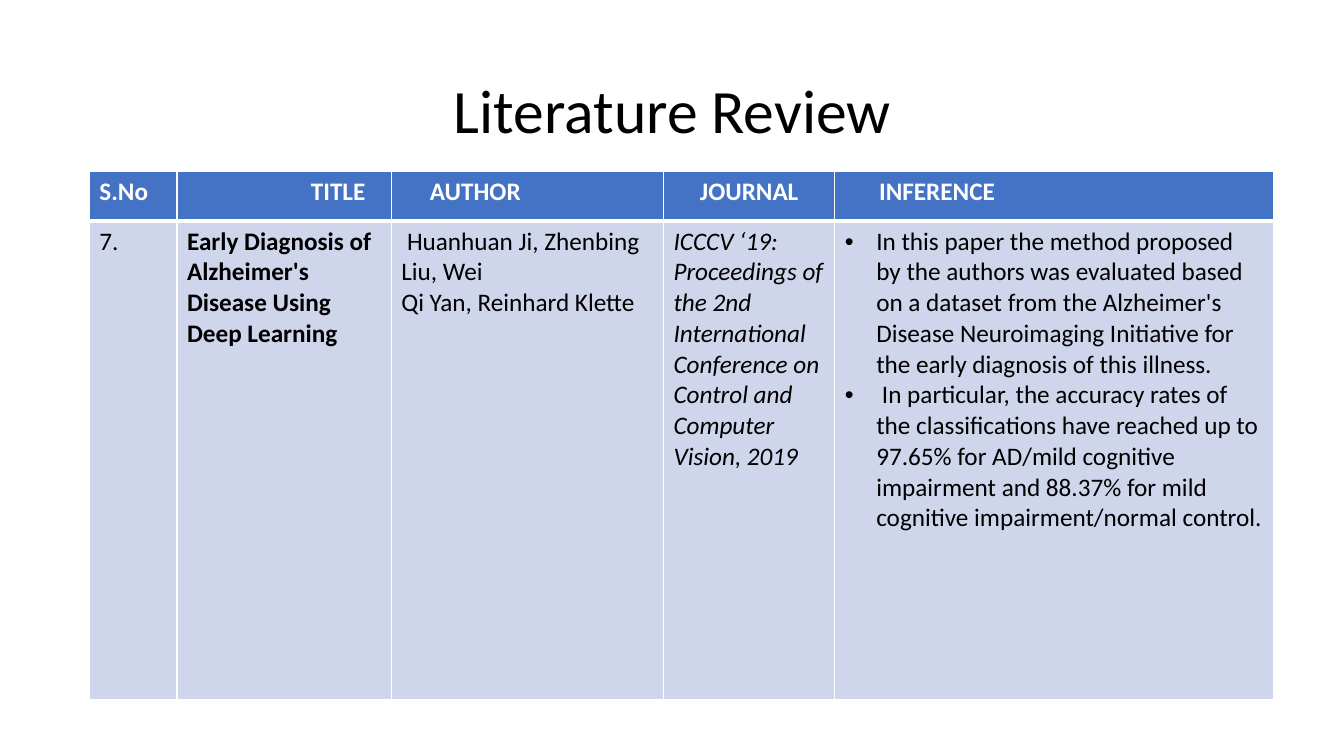
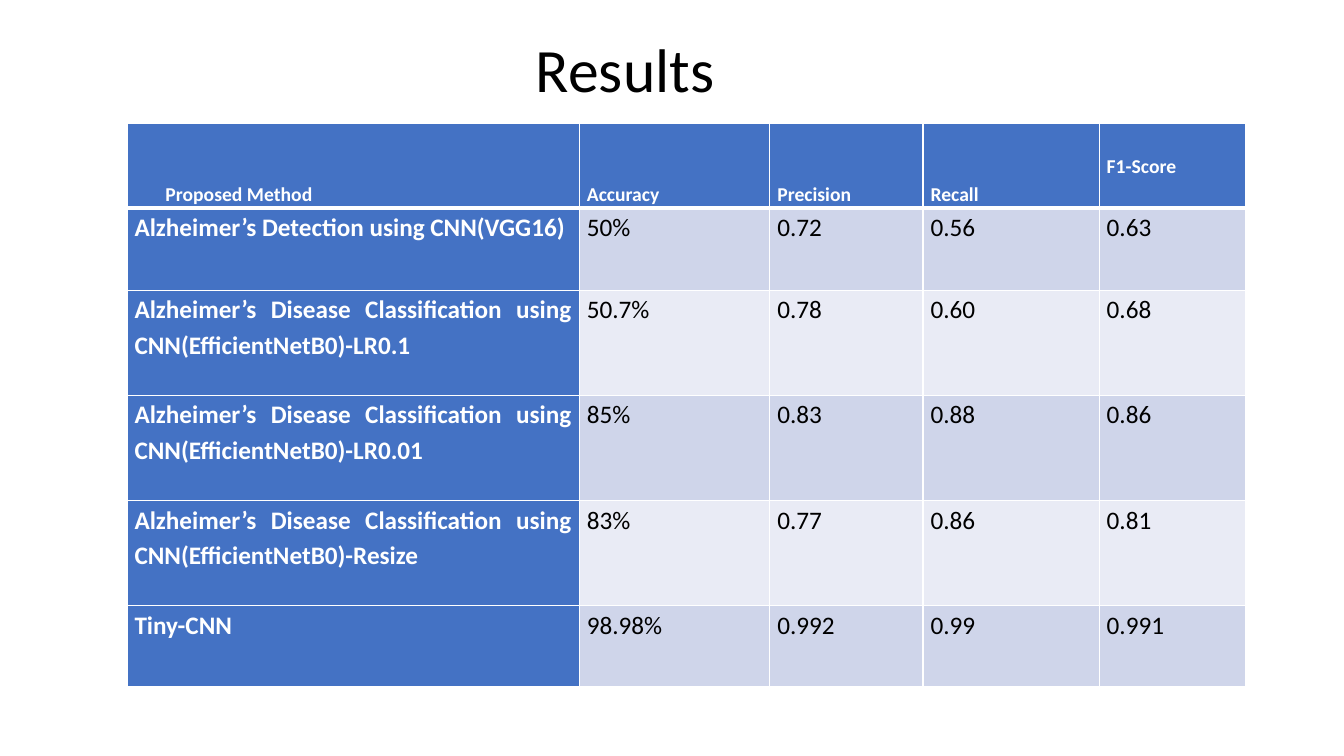
from dataclasses import dataclass

from lxml import etree
from pptx import Presentation
from pptx.dml.color import RGBColor
from pptx.enum.text import MSO_ANCHOR, PP_ALIGN
from pptx.oxml.ns import qn
from pptx.util import Cm, Pt

CENTER, JUSTIFY = PP_ALIGN.CENTER, PP_ALIGN.JUSTIFY
MIDDLE, BOTTOM = MSO_ANCHOR.MIDDLE, MSO_ANCHOR.BOTTOM
TITLE_ONLY = 5


@dataclass(frozen=True)
class Theme:
    """Hold the colours and type sizes of the deck."""

    font: str = "Calibri"
    ink: str = "000000"
    white: str = "FFFFFF"
    blue: str = "4472C4"
    bands: tuple = ("CFD5EA", "E9EBF5")
    title: int = 44
    body: int = 18
    small: int = 14
    thin: int = 1
    thick: int = 3


THEME = Theme()


def add_run(para, text, size, color, bold=False, italic=False):
    """Add one formatted run to a paragraph."""
    run = para.add_run()
    run.text = text
    font = run.font
    font.name, font.size = THEME.font, Pt(size)
    font.bold, font.italic = bold, italic
    font.color.rgb = RGBColor.from_string(color)


def add_slide(deck, title, left, top):
    """Add a title-only slide and place its centred title."""
    slide = deck.slides.add_slide(deck.slide_layouts[TITLE_ONLY])
    box = slide.shapes.title
    box.left, box.top, box.width, box.height = Cm(left), Cm(top), Cm(29.21), Cm(3.68)
    frame = box.text_frame
    frame.word_wrap, frame.vertical_anchor = True, MIDDLE
    para = frame.paragraphs[0]
    para.alignment, para.line_spacing = CENTER, 0.9
    add_run(para, title, THEME.title, THEME.ink)
    return slide


def set_edges(cell, row):
    """Draw white cell borders, heavy under the header row."""
    widths = {
        "L": THEME.thin,
        "R": THEME.thin,
        "T": THEME.thick if row == 1 else THEME.thin,
        "B": THEME.thick if row == 0 else THEME.thin,
    }
    props = cell._tc.get_or_add_tcPr()
    for side, width in widths.items():
        line = etree.SubElement(props, qn(f"a:ln{side}"), w=str(Pt(width)))
        fill = etree.SubElement(line, qn("a:solidFill"))
        etree.SubElement(fill, qn("a:srgbClr"), val=THEME.white)


def add_grid(slide, left, top, cols, rows, side=False):
    """Add a banded table with a blue header and optional blue first column."""
    frame = slide.shapes.add_table(
        len(rows), len(cols), Cm(left), Cm(top), Cm(sum(cols)), Cm(sum(rows))
    )
    table = frame.table
    for col, width in zip(table.columns, cols):
        col.width = Cm(width)
    for index, (row, height) in enumerate(zip(table.rows, rows)):
        row.height = Cm(height)
        for place, cell in enumerate(row.cells):
            head = index == 0 or (side and place == 0)
            color = THEME.blue if head else THEME.bands[(index - 1) % 2]
            set_edges(cell, index)
            cell.fill.solid()
            cell.fill.fore_color.rgb = RGBColor.from_string(color)
    return table


def write(cell, text, size=THEME.body, color=THEME.ink, align=None, space=None,
          indent=0, **style):
    """Write one paragraph into a cell, with line breaks at newlines."""
    para = cell.text_frame.paragraphs[0]
    para.alignment, para.line_spacing = align, space
    para._p.get_or_add_pPr().set("marL", str(Cm(indent)))
    for index, line in enumerate(text.split("\n")):
        if index:
            para.add_line_break()
        add_run(para, line, size, color, **style)


def add_points(cell, points):
    """Write a bulleted list into a cell."""
    frame = cell.text_frame
    for index, point in enumerate(points):
        para = frame.add_paragraph() if index else frame.paragraphs[0]
        props = para._p.get_or_add_pPr()
        props.set("marL", str(Cm(0.79)))
        props.set("indent", str(-Cm(0.79)))
        etree.SubElement(props, qn("a:buFont"), typeface="Arial")
        etree.SubElement(props, qn("a:buChar"), char="•")
        add_run(para, point, THEME.body, THEME.ink)


def add_review(deck):
    """Build the literature review slide."""
    slide = add_slide(deck, "Literature Review", 2.34, 1.02)
    table = add_grid(slide, 2.25, 4.33, (2.21, 5.4, 6.86, 4.32, 11.05), (1.24, 12.07))
    heads = (
        ("S.No", 0, None),
        ("TITLE", 3.12, None),
        ("AUTHOR", 0.72, None),
        ("JOURNAL", 0, CENTER),
        ("INFERENCE", 0.86, None),
    )
    for col, (text, indent, align) in enumerate(heads):
        write(table.cell(0, col), text, color=THEME.white, align=align,
              indent=indent, bold=True)
    entry = (
        ("7.", {}),
        ("Early Diagnosis of Alzheimer's Disease Using Deep Learning", {"bold": True}),
        (" Huanhuan Ji, Zhenbing Liu, Wei\nQi Yan, Reinhard Klette", {}),
        ("ICCCV ‘19: Proceedings of the 2nd International Conference on "
         "Control and Computer Vision, 2019", {"italic": True}),
    )
    for col, (text, style) in enumerate(entry):
        write(table.cell(1, col), text, **style)
    add_points(table.cell(1, 4), (
        "In this paper the method proposed by the authors was evaluated based on "
        "a dataset from the Alzheimer's Disease Neuroimaging Initiative for the "
        "early diagnosis of this illness.",
        " In particular, the accuracy rates of the classifications have reached "
        "up to 97.65% for AD/mild cognitive impairment and 88.37% for mild "
        "cognitive impairment/normal control.",
    ))


def add_results(deck):
    """Build the results slide."""
    slide = add_slide(deck, "Results", 1.15, 0)
    table = add_grid(slide, 3.2, 3.12, (11.4, 4.8, 3.86, 4.44, 3.68),
                     (2.13, 2.06, 2.65, 2.65, 2.65, 2.03), side=True)
    heads = (
        ("Proposed Method", 0.78, 0.05),
        ("Accuracy", 0, 0.05),
        ("Precision", 0, 0.05),
        ("Recall", 0, 0.05),
        ("F1-Score", 0, 0.75),
    )
    scores = (
        ("Alzheimer’s Detection using CNN(VGG16)", "50%", "0.72", "0.56", "0.63"),
        ("Alzheimer’s Disease Classification using CNN(EfficientNetB0)-LR0.1",
         "50.7%", "0.78", "0.60", "0.68"),
        ("Alzheimer’s Disease Classification using CNN(EfficientNetB0)-LR0.01",
         "85%", "0.83", "0.88", "0.86"),
        ("Alzheimer’s Disease Classification using CNN(EfficientNetB0)-Resize",
         "83%", "0.77", "0.86", "0.81"),
        ("Tiny-CNN", "98.98%", "0.992", "0.99", "0.991"),
    )
    for cell in table.iter_cells():
        cell.margin_left = cell.margin_right = Cm(0.19)
        cell.margin_top = cell.margin_bottom = 0
    for col, (text, indent, gap) in enumerate(heads):
        cell = table.cell(0, col)
        cell.vertical_anchor, cell.margin_bottom = BOTTOM, Cm(gap)
        write(cell, text, THEME.small, THEME.white, JUSTIFY, 1.15, indent, bold=True)
    for row, texts in enumerate(scores, 1):
        for col, text in enumerate(texts):
            color = THEME.ink if col else THEME.white
            write(table.cell(row, col), text, color=color, align=JUSTIFY,
                  space=1.15, bold=col == 0)


def main():
    """Build and save the deck."""
    deck = Presentation()
    deck.slide_width, deck.slide_height = Cm(33.87), Cm(19.05)
    add_review(deck)
    add_results(deck)
    deck.save("out.pptx")


if __name__ == "__main__":
    main()
